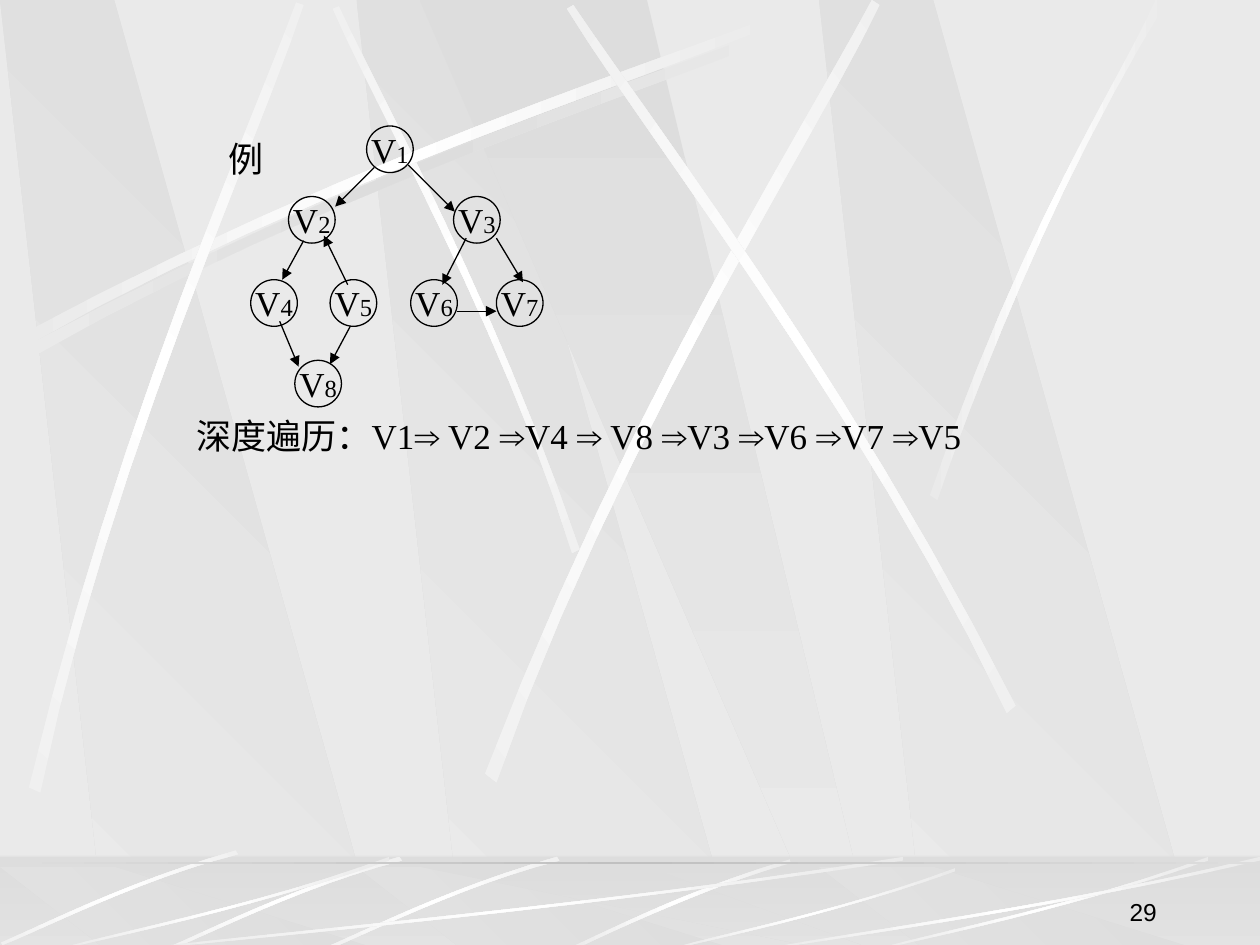
from copy import deepcopy
from itertools import groupby
from math import cos, radians, sin
from typing import NamedTuple

from lxml.etree import SubElement
from pptx import Presentation
from pptx.dml.color import RGBColor
from pptx.enum.shapes import MSO_CONNECTOR as Connector, MSO_SHAPE as Shape
from pptx.enum.text import MSO_ANCHOR as Anchor, MSO_AUTO_SIZE as AutoSize, PP_ALIGN as Align
from pptx.oxml.ns import qn
from pptx.util import Inches, Pt

BLACK = RGBColor(0x00, 0x00, 0x00)
WHITE = RGBColor(0xFF, 0xFF, 0xFF)
PALE = RGBColor(0xEA, 0xEA, 0xEA)
GREY = RGBColor(0xDD, 0xDD, 0xDD)
SILVER = RGBColor(0xC0, 0xC0, 0xC0)
SERIF, SANS = "Times New Roman", "Arial"
NODE_SIZE = 0.37
CURVE_STEPS = 12


class Point(NamedTuple):
    x: float
    y: float


class Box(NamedTuple):
    left: float
    top: float
    width: float
    height: float


class Streak(NamedTuple):
    """Two Bezier edges of four points each, and the turn of the shape."""
    points: list[tuple[float, float]]
    rotation: float = 0
    colors: tuple[RGBColor, ...] = (PALE, WHITE, PALE)


class Node(NamedTuple):
    number: int
    left: float
    top: float


class Arrow(NamedTuple):
    start: Point
    end: Point


# Outlines in fractions of their box
SLAB = [(0.28, 1), (1, 1), (0.3, 0), (0, 0)]
WEDGE = [(0, 0), (0.9, 1), (1, 1), (0.5, 0)]
FLOOR_RAY = [(1, 0.04), (0.57, 0.57), (0.17, 0.85), (0, 1),
             (0, 0.99), (0.17, 0.81), (0.62, 0.51), (1, 0)]
SLAB_LEFTS = (2.83, 0, 6.5)

BEAM = [(0.14, 2.67), (2.78, 1.25), (5.18, 0.51), (6.2, 0.1),
        (6.23, 0.16), (5.22, 0.61), (2.48, 1.43), (0.17, 2.77)]
FLOOR_TURNED = [(4.42, 6.8), (3.55, 7.05), (2.87, 7.4), (2.56, 7.53),
                (2.57, 7.55), (2.88, 7.43), (3.65, 7.03), (4.44, 6.83)]


def shifted(points, dx: float, dy: float = 0) -> list[tuple[float, float]]:
    return [(x + dx, y + dy) for x, y in points]


WALL_STREAKS = [
    Streak(shifted(BEAM, 0.06, 0.08), colors=(PALE, GREY, PALE)),
    Streak([(4.6, 4.36), (3.91, 2.34), (3.02, 0.77), (2.69, 0.05),
            (2.64, 0.07), (2.95, 0.79), (3.98, 2.58), (4.54, 4.39)], 45),
    Streak(BEAM),
    Streak([(0.23, 6.25), (0.93, 3.34), (1.97, 1.05), (2.35, 0.02),
            (2.41, 0.04), (2.07, 1.08), (0.86, 3.68), (0.32, 6.29)], 311.7),
    Streak([(3.85, 6.14), (4.98, 3.2), (6.38, 1.02), (6.92, 0),
            (6.98, 0.04), (6.49, 1.08), (4.86, 3.55), (3.94, 6.21)], 321.6),
    Streak([(8.06, 5.6), (6.7, 2.93), (5.16, 0.95), (4.55, 0.04),
            (4.5, 0.07), (5.07, 1.01), (6.85, 3.25), (7.99, 5.66)], 34.8),
    Streak([(7.38, 3.93), (8.14, 1.73), (8.88, 0.66), (9.17, 0),
            (9.27, 0), (8.36, 1.45), (7.69, 3.22), (7.44, 3.97)]),
]
FLOOR_STREAKS = [
    Streak([(6.27, 6.82), (5.37, 7.09), (4.77, 7.42), (4.48, 7.54),
            (4.53, 7.55), (4.9, 7.37), (5.71, 7), (6.28, 6.85)]),
    *(Streak(shifted(FLOOR_TURNED, dx, dy), 314.9)
      for dx, dy in ((0, 0), (-1.25, 0), (-2.55, -0.05))),
]
FLOOR_RAYS = [Box(1, 6.8, 6.17, 0.75), Box(0.42, 6.8, 2.67, 0.75), Box(5.27, 6.89, 2.31, 0.66),
              Box(6.92, 6.8, 2.67, 0.75), Box(6, 6.8, 4, 0.75)]

NODES = [Node(1, 2.91, 1), Node(2, 2.29, 1.56), Node(4, 1.99, 2.22), Node(5, 2.62, 2.22),
         Node(3, 3.6, 1.56), Node(7, 3.94, 2.22), Node(6, 3.26, 2.22), Node(8, 2.34, 2.86)]
ARROWS = [
    Arrow(Point(2.97, 1.33), Point(2.66, 1.64)),
    Arrow(Point(3.24, 1.31), Point(3.61, 1.68)),
    Arrow(Point(2.41, 1.91), Point(2.24, 2.22)),
    Arrow(Point(2.76, 2.26), Point(2.57, 1.87)),
    Arrow(Point(2.22, 2.55), Point(2.37, 2.91)),
    Arrow(Point(2.78, 2.59), Point(2.62, 2.89)),
    Arrow(Point(3.7, 1.89), Point(3.51, 2.26)),
    Arrow(Point(3.63, 2.47), Point(3.94, 2.47)),
    Arrow(Point(3.94, 1.89), Point(4.15, 2.24)),
]
TRAVERSAL = "深度遍历：V1⇒ V2 ⇒V4 ⇒ V8 ⇒V3 ⇒V6 ⇒V7 ⇒V5"


def fit(outline, box: Box) -> list[tuple[float, float]]:
    return [(box.left + x * box.width, box.top + y * box.height) for x, y in outline]


def turn(x: float, y: float, degrees: float) -> Point:
    """Turn a point clockwise about the origin."""
    c, s = cos(radians(degrees)), sin(radians(degrees))
    return Point(x * c - y * s, x * s + y * c)


def bezier(p, q, r, s) -> list[tuple[float, float]]:
    steps = [i / CURVE_STEPS for i in range(CURVE_STEPS + 1)]
    return [tuple((1 - t) ** 3 * a + 3 * (1 - t) ** 2 * t * b + 3 * (1 - t) * t ** 2 * c + t ** 3 * d
                  for a, b, c, d in zip(p, q, r, s)) for t in steps]


def set_gradient(shape, colors, angle: float) -> None:
    """Spread the colours evenly; the angle is counter-clockwise."""
    shape.shadow.inherit = False
    shape.line.fill.background()
    shape.fill.gradient()
    shape.fill.gradient_angle = angle
    if len(colors) == 3:
        stops = shape._element.spPr.find(".//" + qn("a:gsLst"))
        stops.append(deepcopy(stops[0]))
    for i, (stop, color) in enumerate(zip(shape.fill.gradient_stops, colors)):
        stop.position = i / (len(colors) - 1)
        stop.color.rgb = color


def add_polygon(slide, points):
    corners = [(Inches(x), Inches(y)) for x, y in points]
    builder = slide.shapes.build_freeform(*corners[0])
    builder.add_line_segments(corners[1:], close=True)
    return builder.convert_to_shape()


def add_slab(slide, outline, box: Box, angle: float) -> None:
    set_gradient(add_polygon(slide, fit(outline, box)), (GREY, PALE), angle)


def add_streak(slide, streak: Streak) -> None:
    edges = bezier(*streak.points[:4]) + bezier(*streak.points[4:])
    shape = add_polygon(slide, [turn(x, y, -streak.rotation) for x, y in edges])
    center = turn(shape.left + shape.width / 2, shape.top + shape.height / 2, streak.rotation)
    shape.left = round(center.x - shape.width / 2)
    shape.top = round(center.y - shape.height / 2)
    shape.rotation = streak.rotation
    set_gradient(shape, streak.colors, 180)


def add_rectangle(slide, box: Box):
    shape = slide.shapes.add_shape(Shape.RECTANGLE, *map(Inches, box))
    shape.shadow.inherit = False
    shape.line.fill.background()
    return shape


def add_background(slide) -> None:
    slide.background.fill.solid()
    slide.background.fill.fore_color.rgb = PALE
    for left in SLAB_LEFTS:
        add_slab(slide, SLAB, Box(left, 0, 3.02, 7.52), 225)
    add_slab(slide, WEDGE, Box(3.33, 0, 3.61, 7.51), 270)
    for streak in WALL_STREAKS:
        add_streak(slide, streak)

    set_gradient(add_rectangle(slide, Box(0, 6.8, 10, 0.75)), (GREY, PALE), 270)
    for left in SLAB_LEFTS:
        add_slab(slide, SLAB, Box(left, 6.88, 3.02, 0.66), 225)
    add_slab(slide, WEDGE, Box(3.33, 6.88, 3.61, 0.66), 270)
    veil = add_rectangle(slide, Box(0, 6.79, 10, 0.75))
    veil.fill.solid()
    veil.fill.fore_color.rgb = GREY
    color = veil._element.spPr.find(qn("a:solidFill"))[0]
    SubElement(color, qn("a:alpha"), val="50000")
    for streak in FLOOR_STREAKS + [Streak(fit(FLOOR_RAY, box)) for box in FLOOR_RAYS]:
        add_streak(slide, streak)
    set_gradient(add_rectangle(slide, Box(0, 6.84, 10, 0.02)), (GREY, SILVER, GREY), 180)


def style_paragraph(paragraph, font_name: str, size: int, align: Align) -> None:
    paragraph.alignment = align
    paragraph.font.name = font_name
    paragraph.font.size = Pt(size)
    paragraph.font.color.rgb = BLACK


def add_node(slide, node: Node) -> None:
    box = Box(node.left, node.top, NODE_SIZE, NODE_SIZE)
    shape = slide.shapes.add_shape(Shape.OVAL, *map(Inches, box))
    shape.shadow.inherit = False
    shape.fill.background()
    shape.line.color.rgb = BLACK
    shape.line.width = Pt(0.75)
    shape.text_frame.word_wrap = False
    shape.text_frame.vertical_anchor = Anchor.MIDDLE
    paragraph = shape.text_frame.paragraphs[0]
    style_paragraph(paragraph, SERIF, 20, Align.CENTER)
    paragraph.add_run().text = "V"
    digit = paragraph.add_run()
    digit.text = str(node.number)
    digit.font.size = Pt(14)


def add_arrow(slide, arrow: Arrow) -> None:
    line = slide.shapes.add_connector(Connector.STRAIGHT, *map(Inches, arrow.start + arrow.end))
    line.line.color.rgb = BLACK
    line.line.width = Pt(0.75)
    SubElement(line.line._get_or_add_ln(), qn("a:tailEnd"), type="triangle")
    SubElement(line._element.spPr, qn("a:effectLst"))


def add_text(slide, box: Box, text: str, font_name: str, size: int, align: Align,
             anchor: Anchor, wrap: bool = False) -> None:
    """Add one line of text, with its ⇒ signs in the sans font."""
    frame = slide.shapes.add_textbox(*map(Inches, box)).text_frame
    frame.word_wrap = wrap
    frame.auto_size = AutoSize.NONE if wrap else AutoSize.SHAPE_TO_FIT_TEXT
    frame.vertical_anchor = anchor
    paragraph = frame.paragraphs[0]
    style_paragraph(paragraph, font_name, size, align)
    for is_sign, letters in groupby(text, lambda letter: letter == "⇒"):
        run = paragraph.add_run()
        run.text = "".join(letters)
        if is_sign:
            run.font.name = SANS


def main() -> None:
    presentation = Presentation()
    presentation.slide_width, presentation.slide_height = Inches(10), Inches(7.5)
    slide = presentation.slides.add_slide(presentation.slide_layouts[6])
    add_background(slide)
    for node in NODES:
        add_node(slide, node)
    for arrow in ARROWS:
        add_arrow(slide, arrow)
    add_text(slide, Box(1.71, 1.04, 0.48, 0.44), "例", SERIF, 20, Align.CENTER, Anchor.MIDDLE)
    add_text(slide, Box(1.46, 3.24, 6.49, 0.44), TRAVERSAL, SERIF, 20, Align.LEFT, Anchor.TOP)
    add_text(slide, Box(7.2, 6.9, 2.08, 0.5), "29", SANS, 14, Align.RIGHT, Anchor.BOTTOM, wrap=True)
    presentation.save("out.pptx")


if __name__ == "__main__":
    main()
